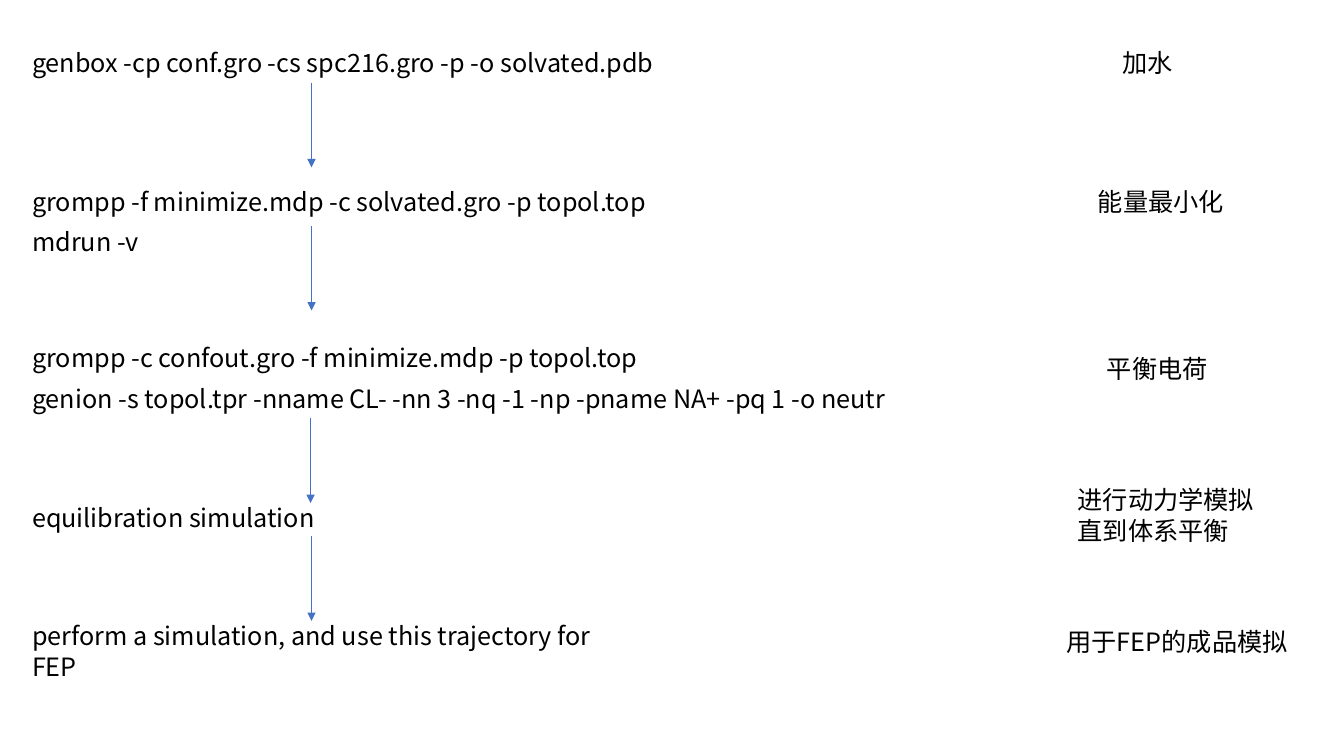
from dataclasses import dataclass

from lxml.etree import SubElement
from pptx import Presentation
from pptx.dml.color import RGBColor
from pptx.enum.shapes import MSO_CONNECTOR as Connector
from pptx.enum.text import MSO_AUTO_SIZE as AutoSize
from pptx.oxml.ns import qn
from pptx.slide import Slide
from pptx.util import Emu, Pt

# Scale: 100 px to the inch
EMU_PER_PX = 9144
SLIDE_WIDTH, SLIDE_HEIGHT = 1333, 750

FONT = "Noto Sans CJK SC"
FONT_SIZE = 18
COLOURS = {"text": "000000", "arrow": "4472C4"}

COMMAND_LEFT = 22
COMMAND_WIDTH = 666
LINE_HEIGHT = 40
ARROW_LENGTH = 84


@dataclass
class Command:
    text: str
    top: int
    width: int = COMMAND_WIDTH


@dataclass
class Label:
    text: str
    left: int
    top: int
    width: int
    height: int = LINE_HEIGHT


@dataclass
class Arrow:
    top: int
    x: int = 309


COMMANDS = [
    Command("genbox -cp conf.gro -cs spc216.gro -p -o solvated.pdb", 42),
    Command("grompp -f minimize.mdp -c solvated.gro -p topol.top", 180),
    Command("mdrun -v", 220),
    Command("grompp -c confout.gro -f minimize.mdp -p topol.top", 335),
    Command("genion -s topol.tpr -nname CL- -nn 3 -nq -1 -np -pname NA+ -pq 1 -o neutr", 375, 931),
    Command("equilibration simulation", 493),
    Command("perform a simulation, and use this trajectory for FEP", 611, 597),
]

LABELS = [
    Label("加水", 1103, 42, 109),
    Label("能量最小化", 1079, 180, 158),
    Label("平衡电荷", 1088, 346, 160),
    Label("进行动力学模拟直到体系平衡", 1059, 476, 198, 71),
    Label("用于FEP的成品模拟", 1048, 616, 240),
]

ARROWS = [Arrow(82), Arrow(224), Arrow(415, 308), Arrow(532)]


def px(length: int) -> Emu:
    return Emu(length * EMU_PER_PX)


def add_label(slide: Slide, label: Label) -> None:
    shape = slide.shapes.add_textbox(
        px(label.left), px(label.top), px(label.width), px(label.height)
    )
    frame = shape.text_frame
    frame.word_wrap = True
    frame.auto_size = AutoSize.SHAPE_TO_FIT_TEXT
    run = frame.paragraphs[0].add_run()
    run.text = label.text
    run.font.name = FONT
    run.font.size = Pt(FONT_SIZE)
    run.font.color.rgb = RGBColor.from_string(COLOURS["text"])
    # Chinese characters take their font from a:ea
    SubElement(run.font._element, qn("a:ea"), typeface=FONT)


def add_arrow(slide: Slide, arrow: Arrow) -> None:
    connector = slide.shapes.add_connector(
        Connector.STRAIGHT,
        px(arrow.x), px(arrow.top), px(arrow.x), px(arrow.top + ARROW_LENGTH),
    )
    connector.line.width = Pt(0.5)
    connector.line.color.rgb = RGBColor.from_string(COLOURS["arrow"])
    properties = connector._element.spPr
    SubElement(properties.find(qn("a:ln")), qn("a:tailEnd"), type="triangle")
    SubElement(properties, qn("a:effectLst"))


def main() -> None:
    presentation = Presentation()
    presentation.slide_width = px(SLIDE_WIDTH)
    presentation.slide_height = px(SLIDE_HEIGHT)
    blank_layout = presentation.slide_layouts[6]
    slide = presentation.slides.add_slide(blank_layout)

    # Command column
    for command in COMMANDS:
        add_label(slide, Label(command.text, COMMAND_LEFT, command.top, command.width))

    # Flow between the steps
    for arrow in ARROWS:
        add_arrow(slide, arrow)

    # Explanation column
    for label in LABELS:
        add_label(slide, label)

    presentation.save("out.pptx")


if __name__ == "__main__":
    main()
